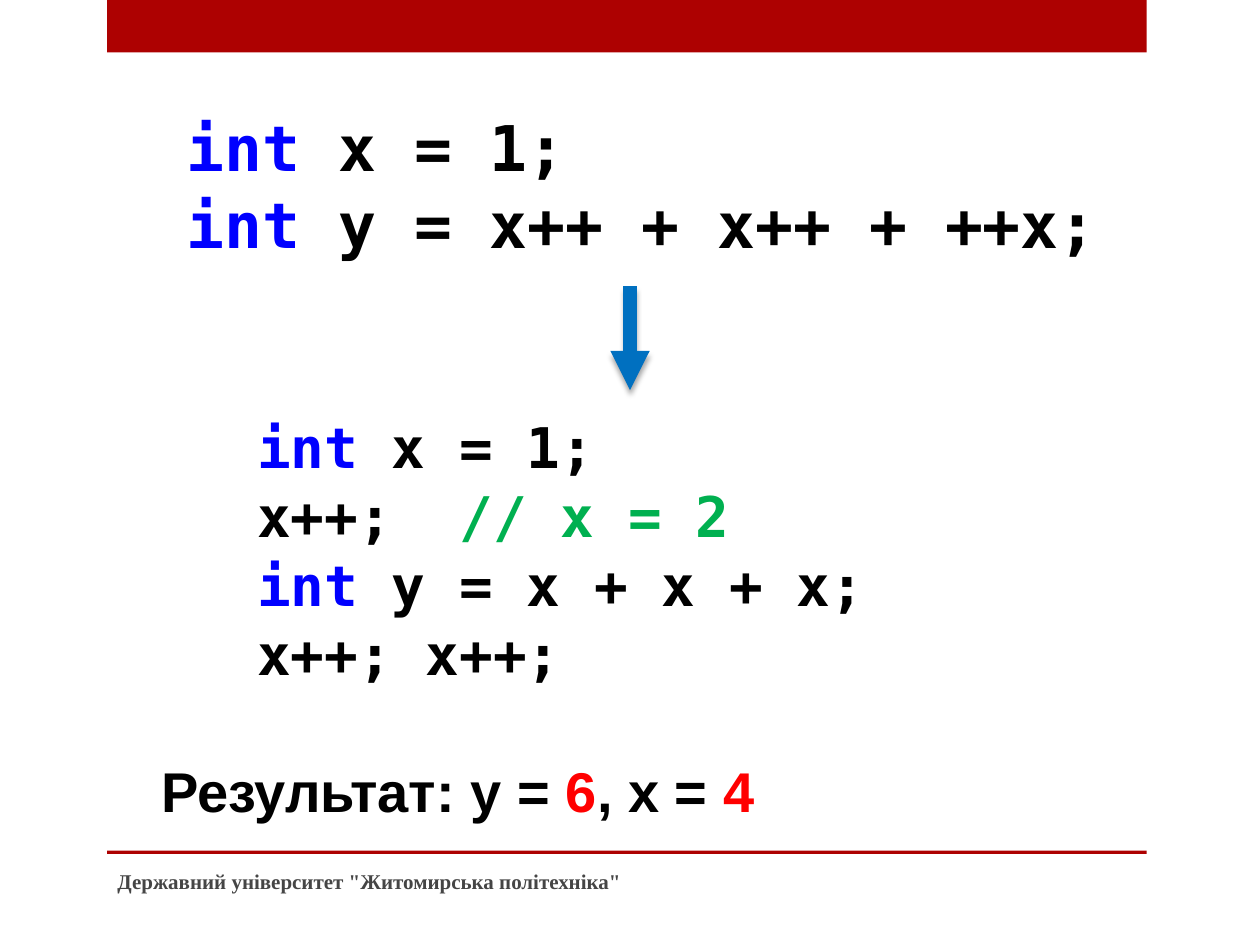
import pptx
import pptx.dml.color
import pptx.enum.shapes
import pptx.enum.text
import pptx.util
from lxml import etree

Pt = pptx.util.Pt
RGBColor = pptx.dml.color.RGBColor
SHAPES = pptx.enum.shapes.MSO_SHAPE
ANCHOR = pptx.enum.text.MSO_ANCHOR

MAROON = RGBColor(0xAD, 0x01, 0x01)
WHITE = RGBColor(0xFF, 0xFF, 0xFF)
BLACK = RGBColor(0x00, 0x00, 0x00)
BLUE = RGBColor(0x00, 0x00, 0xFF)
GREEN = RGBColor(0x00, 0xB0, 0x50)
RED = RGBColor(0xFF, 0x00, 0x00)
ARROW_BLUE = RGBColor(0x00, 0x70, 0xC0)
GREY = RGBColor(0x45, 0x45, 0x45)

DRAWING = "http://schemas.openxmlformats.org/drawingml/2006/main"
ARROW_SHADOW = f"""<a:effectLst xmlns:a="{DRAWING}">
<a:outerShdw blurRad="38100" dist="38100" dir="5400000" rotWithShape="0">
<a:srgbClr val="000000"><a:alpha val="35000"/></a:srgbClr>
</a:outerShdw></a:effectLst>"""

KEYWORD = ("int", BLUE)
START_CODE = [
    [KEYWORD, (" x = 1;", BLACK)],
    [KEYWORD, (" y = x++ + x++ + ++x;", BLACK)],
]
EXPANDED_CODE = [
    [KEYWORD, (" x = 1;", BLACK)],
    [("x++;  ", BLACK), ("// x = 2", GREEN)],
    [KEYWORD, (" y = x + x + x;", BLACK)],
    [("x++; x++;", BLACK)],
]
RESULT = [[("Результат: y = ", BLACK), ("6", RED), (", x = ", BLACK), ("4", RED)]]
FOOTER = [[('Державний університет "Житомирська політехніка"', GREY)]]


def add_block(page, left, top, width, height, color):
    block = page.shapes.add_shape(
        SHAPES.RECTANGLE, Pt(left), Pt(top), Pt(width), Pt(height))
    block.shadow.inherit = False
    block.fill.solid()
    block.fill.fore_color.rgb = color
    block.line.fill.background()
    return block


def write_lines(box, lines, font, size, anchor=ANCHOR.TOP, spacing=1.0):
    frame = box.text_frame
    frame.word_wrap = True
    frame.vertical_anchor = anchor
    for index, line in enumerate(lines):
        para = frame.add_paragraph() if index else frame.paragraphs[0]
        para.alignment = pptx.enum.text.PP_ALIGN.LEFT
        para.line_spacing = spacing
        for text, color in line:
            span = para.add_run()
            span.text = text
            span.font.name = font
            span.font.size = Pt(size)
            span.font.bold = True
            span.font.color.rgb = color


def add_frame_bars(page, left, top, width, height):
    add_block(page, left, top, width, 30, MAROON)
    add_block(page, left, top + height - 2, width, 2, MAROON)


def add_code(page, left, top, width, height, lines, size):
    box = add_block(page, left, top, width, height, WHITE)
    write_lines(box, lines, "DejaVu Sans Mono", size, spacing=1.03)


def add_caption(page, left, top, width, height, lines, font, size, anchor):
    box = page.shapes.add_textbox(Pt(left), Pt(top), Pt(width), Pt(height))
    write_lines(box, lines, font, size, anchor)


def add_down_arrow(page, center, top, height):
    arrow = page.shapes.add_connector(
        pptx.enum.shapes.MSO_CONNECTOR.STRAIGHT,
        Pt(center), Pt(top), Pt(center), Pt(top + height))
    arrow.line.color.rgb = ARROW_BLUE
    arrow.line.width = Pt(7.5)
    stroke = arrow.line._get_or_add_ln()
    etree.SubElement(stroke, f"{{{DRAWING}}}tailEnd", type="triangle")
    arrow._element.spPr.append(etree.fromstring(ARROW_SHADOW))


def main():
    deck = pptx.Presentation()
    deck.slide_width, deck.slide_height = Pt(720), Pt(540)
    page = deck.slides.add_slide(deck.slide_layouts[6])
    add_frame_bars(page, 61.2, 0, 594, 488)
    add_caption(page, 85, 429, 476, 46, RESULT, "Arial", 32, ANCHOR.TOP)
    add_code(page, 99.5, 57, 561.5, 94.5, START_CODE, 36)
    add_code(page, 139.8, 231, 440, 163, EXPANDED_CODE, 32)
    add_down_arrow(page, 360, 163.5, 59.5)
    add_caption(page, 60, 489, 384, 29, FOOTER, "Times New Roman", 12, ANCHOR.MIDDLE)
    deck.save("out.pptx")


if __name__ == "__main__":
    main()
